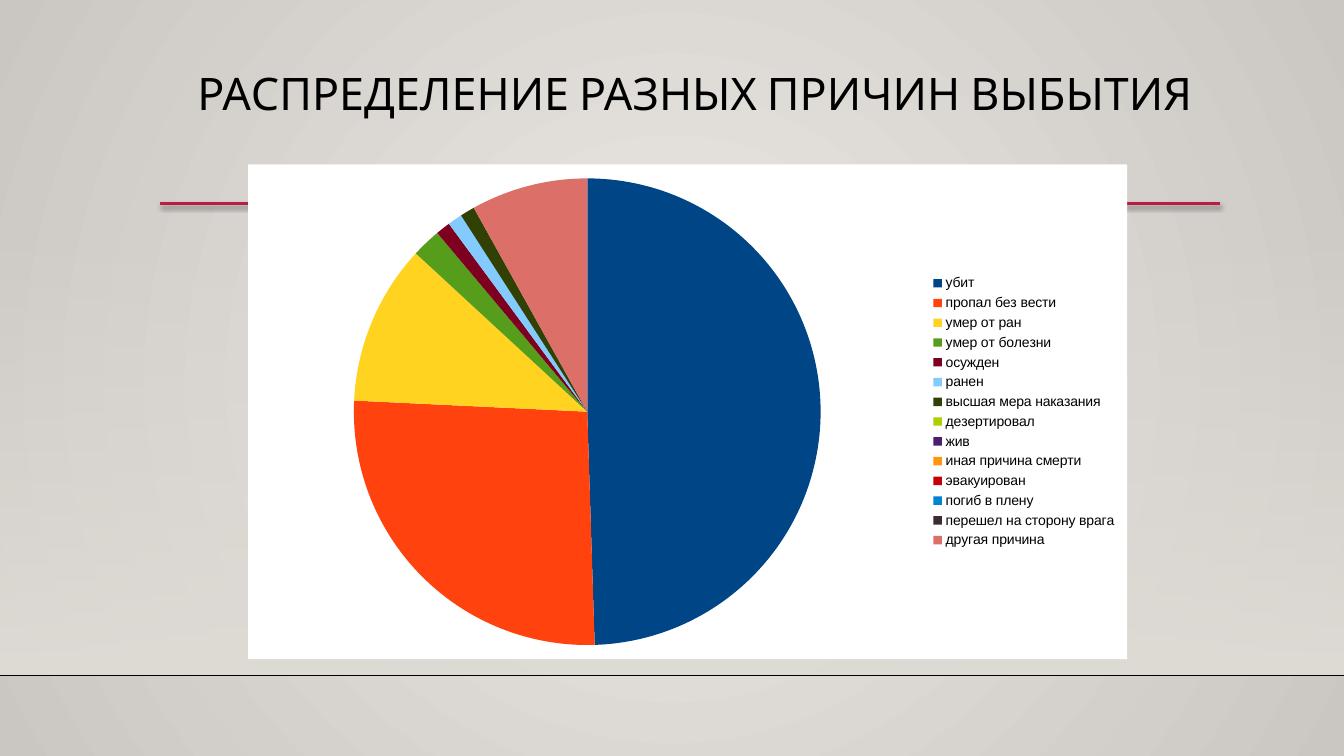
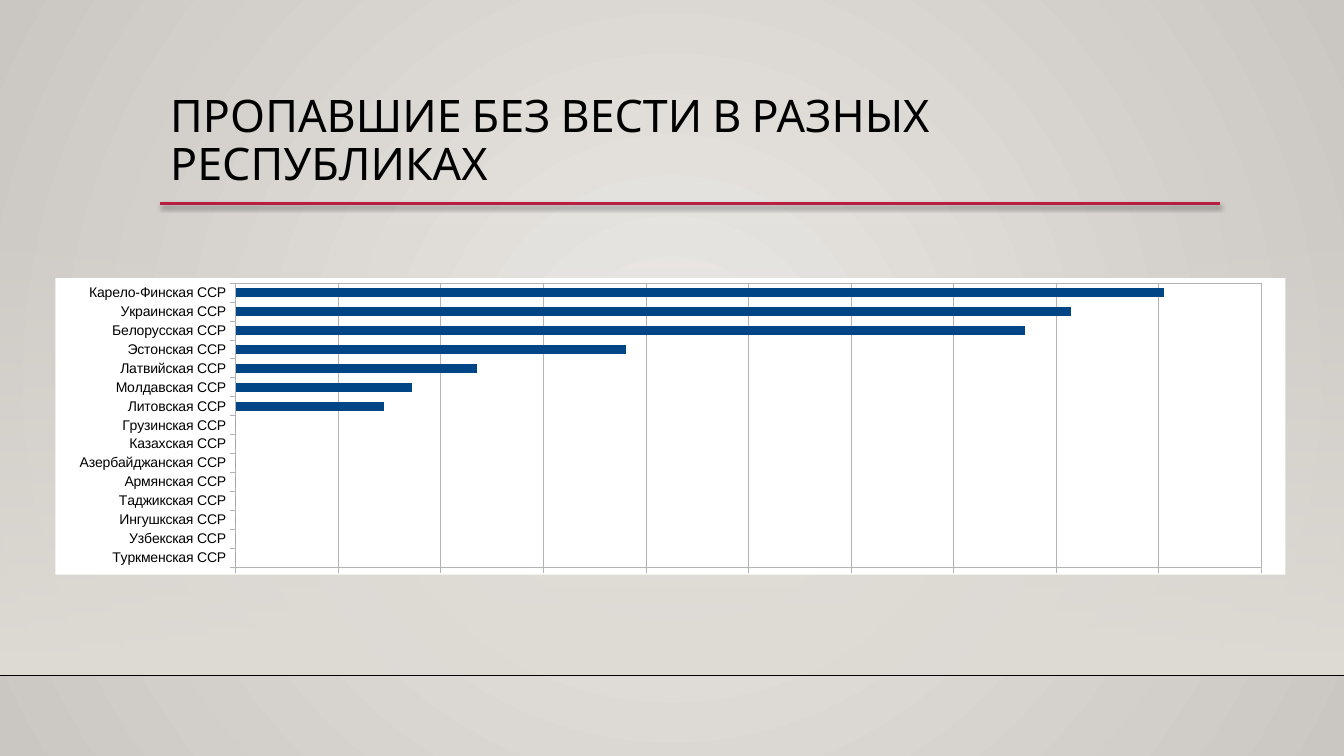
from lxml import etree
from pptx import Presentation
from pptx.chart.data import CategoryChartData
from pptx.dml.color import RGBColor
from pptx.enum.chart import XL_CHART_TYPE as ChartType, XL_LEGEND_POSITION as LegendPosition
from pptx.enum.chart import XL_TICK_LABEL_POSITION as LabelPosition, XL_TICK_MARK as TickMark
from pptx.enum.shapes import MSO_CONNECTOR as Connector, MSO_SHAPE as Shape
from pptx.enum.text import MSO_ANCHOR as Anchor
from pptx.oxml import parse_xml
from pptx.oxml.ns import nsdecls, qn
from pptx.util import Inches, Pt

WIDTH, HEIGHT = 13.33, 7.5
FLOOR = 6.7
TITLE_FONT, CHART_FONT = "Cabin", "Arial"
COLORS = {
    "text": "000000", "floor": "000001", "accent": "B71E42",
    "center": "ECEAE7", "edge": "CAC6C1", "haze": "DFDBD5",
    "panel": "FFFFFF", "grid": "B3B3B3", "bar": "004586",
}

# Reason, share in percent, slice colour
REASONS = [
    ("убит", 49, "004586"),
    ("пропал без вести", 26, "FF420E"),
    ("умер от ран", 11, "FFD320"),
    ("умер от болезни", 2, "579D1C"),
    ("осужден", 1, "7E0021"),
    ("ранен", 1, "83CAFF"),
    ("высшая мера наказания", 1, "314004"),
    ("дезертировал", 0, "AECF00"),
    ("жив", 0, "4B1F6F"),
    ("иная причина смерти", 0, "FF950E"),
    ("эвакуирован", 0, "C5000B"),
    ("погиб в плену", 0, "0084D1"),
    ("перешел на сторону врага", 0, "3C2C32"),
    ("другая причина", 8, "DC6F67"),
]

# Republics from the bottom bar to the top one, in percent of the longest bar
REPUBLICS = [
    ("Туркменская ССР", 0),
    ("Узбекская ССР", 0),
    ("Ингушкская ССР", 0),
    ("Таджикская ССР", 0),
    ("Армянская ССР", 0),
    ("Азербайджанская ССР", 0),
    ("Казахская ССР", 0),
    ("Грузинская ССР", 0),
    ("Литовская ССР", 16),
    ("Молдавская ССР", 19),
    ("Латвийская ССР", 26),
    ("Эстонская ССР", 42),
    ("Белорусская ССР", 85),
    ("Украинская ССР", 90),
    ("Карело-Финская ССР", 100),
]
SCALE_END, SCALE_STEPS = 110.5, 10


def rgb(name):
    return RGBColor.from_string(COLORS[name])


# Shared look
def paint_gradient(element, start, end, direction, start_alpha=100):
    """Replace the element's solid fill with a two-stop gradient."""
    solid = element.find(".//" + qn("a:solidFill"))
    gradient = parse_xml(
        f'<a:gradFill {nsdecls("a")} rotWithShape="1"><a:gsLst>'
        f'<a:gs pos="0"><a:srgbClr val="{COLORS[start]}">'
        f'<a:alpha val="{start_alpha * 1000}"/></a:srgbClr></a:gs>'
        f'<a:gs pos="100000"><a:srgbClr val="{COLORS[end]}"/></a:gs>'
        f'</a:gsLst>{direction}</a:gradFill>')
    solid.getparent().replace(solid, gradient)


def add_rule(slide, left, right, top, color, weight, shadow=False):
    rule = slide.shapes.add_connector(
        Connector.STRAIGHT, Inches(left), Inches(top), Inches(right), Inches(top))
    rule.line.color.rgb = rgb(color)
    rule.line.width = Pt(weight)
    effects = etree.SubElement(rule._element.spPr, qn("a:effectLst"))
    if shadow:
        effects.append(parse_xml(
            f'<a:outerShdw {nsdecls("a")} blurRad="{Pt(3.1)}" dist="{Pt(1.8)}" '
            f'dir="5400000"><a:srgbClr val="{COLORS["text"]}">'
            '<a:alpha val="35000"/></a:srgbClr></a:outerShdw>'))


def add_title(slide, text, left, top):
    frame = slide.shapes.add_textbox(
        Inches(left), Inches(top), Inches(10.5), Inches(1.15)).text_frame
    frame.word_wrap = True
    frame.vertical_anchor = Anchor.TOP
    frame.text = text
    paragraph = frame.paragraphs[0]
    paragraph.line_spacing = 0.9
    font = paragraph.runs[0].font
    font.name, font.size = TITLE_FONT, Pt(32)
    font.color.rgb = rgb("text")


def add_base_slide(deck, title, left, top):
    slide = deck.slides.add_slide(deck.slide_layouts[6])
    slide.background.fill.solid()
    slide.background.fill.fore_color.rgb = rgb("center")
    paint_gradient(
        slide._element, "center", "edge",
        '<a:path path="circle"><a:fillToRect l="50000" t="50000" r="50000" b="50000"/></a:path>')

    haze_top = 2.21
    haze = slide.shapes.add_shape(
        Shape.RECTANGLE, 0, Inches(haze_top), Inches(WIDTH), Inches(FLOOR - haze_top))
    haze.shadow.inherit = False
    haze.line.fill.background()
    haze.fill.solid()
    haze.fill.fore_color.rgb = rgb("haze")
    paint_gradient(haze._element, "haze", "haze",
                   '<a:lin ang="5400000" scaled="0"/>', start_alpha=0)

    add_rule(slide, 0, WIDTH, FLOOR, "floor", 1)
    add_rule(slide, 1.59, 12.1, 2.02, "accent", 2.5, shadow=True)
    add_title(slide, title, left, top)
    return slide


# Charts
def chart_properties(content):
    return parse_xml(f'<c:spPr {nsdecls("c", "a")}>{content}</c:spPr>')


def place_plot(plot_area, box, plot_box):
    """Fix the inner plot area, given in inches inside the chart box."""
    for layout in plot_area.findall(qn("c:layout")):
        plot_area.remove(layout)
    sizes = "".join(f'<c:{key} val="{inner / outer}"/>'
                    for key, inner, outer in zip("xywh", plot_box, box[2:] * 2))
    plot_area.insert(0, parse_xml(
        f'<c:layout {nsdecls("c")}><c:manualLayout><c:layoutTarget val="inner"/>'
        f'<c:xMode val="edge"/><c:yMode val="edge"/>{sizes}</c:manualLayout></c:layout>'))


def add_panel_chart(slide, kind, categories, values, box, plot_box):
    data = CategoryChartData()
    data.categories = categories
    data.add_series("Series 1", values)
    chart = slide.shapes.add_chart(kind, *map(Inches, box), data).chart
    chart.has_title = False
    chart.has_legend = False
    chart.font.name, chart.font.size = CHART_FONT, Pt(10)
    chart.font.color.rgb = rgb("text")
    chart_xml = chart._chartSpace.find(qn("c:chart"))
    chart_xml.addnext(chart_properties(
        f'<a:solidFill><a:srgbClr val="{COLORS["panel"]}"/></a:solidFill>'
        '<a:ln><a:noFill/></a:ln>'))
    place_plot(chart_xml.find(qn("c:plotArea")), box, plot_box)
    return chart


def add_reasons_pie(slide):
    names, shares, colors = zip(*REASONS)
    chart = add_panel_chart(slide, ChartType.PIE, names, shares,
                            (2.46, 1.63, 8.72, 4.91), (1.05, 0.14, 4.63, 4.63))
    chart.has_legend = True
    chart.legend.position = LegendPosition.RIGHT
    chart.legend.include_in_layout = False
    chart.legend.font.name, chart.legend.font.size = CHART_FONT, Pt(10)
    for index, color in enumerate(colors):
        piece = chart.plots[0].series[0].points[index].format
        piece.fill.solid()
        piece.fill.fore_color.rgb = RGBColor.from_string(color)
        piece.line.fill.background()


def style_line(line):
    line.color.rgb = rgb("grid")
    line.width = Pt(0.75)


def add_republics_bars(slide):
    names, values = zip(*REPUBLICS)
    chart = add_panel_chart(slide, ChartType.BAR_CLUSTERED, names, values,
                            (0.55, 2.76, 12.2, 2.94), (1.79, 0.05, 10.17, 2.82))
    plot = chart.plots[0]
    plot.gap_width = 100
    plot.vary_by_categories = False
    bars = plot.series[0].format
    bars.fill.solid()
    bars.fill.fore_color.rgb = rgb("bar")
    bars.line.fill.background()

    for axis in (chart.category_axis, chart.value_axis):
        axis.major_tick_mark = TickMark.OUTSIDE
        axis.minor_tick_mark = TickMark.NONE
        style_line(axis.format.line)
    chart.category_axis.has_major_gridlines = False
    scale = chart.value_axis
    scale.minimum_scale, scale.maximum_scale = 0, SCALE_END
    scale.major_unit = SCALE_END / SCALE_STEPS
    scale.tick_label_position = LabelPosition.NONE
    scale.has_major_gridlines = True
    style_line(scale.major_gridlines.format.line)

    # Frame around the plot
    chart._chartSpace.find(".//" + qn("c:plotArea")).append(chart_properties(
        f'<a:noFill/><a:ln w="{Pt(0.75)}"><a:solidFill>'
        f'<a:srgbClr val="{COLORS["grid"]}"/></a:solidFill></a:ln>'))


def main():
    deck = Presentation()
    deck.slide_width, deck.slide_height = Inches(WIDTH), Inches(HEIGHT)
    add_reasons_pie(add_base_slide(
        deck, "РАСПРЕДЕЛЕНИЕ РАЗНЫХ ПРИЧИН ВЫБЫТИЯ", 1.86, 0.66))
    add_republics_bars(add_base_slide(
        deck, "ПРОПАВШИЕ БЕЗ ВЕСТИ В РАЗНЫХ РЕСПУБЛИКАХ", 1.59, 0.88))
    deck.save("out.pptx")


if __name__ == "__main__":
    main()
